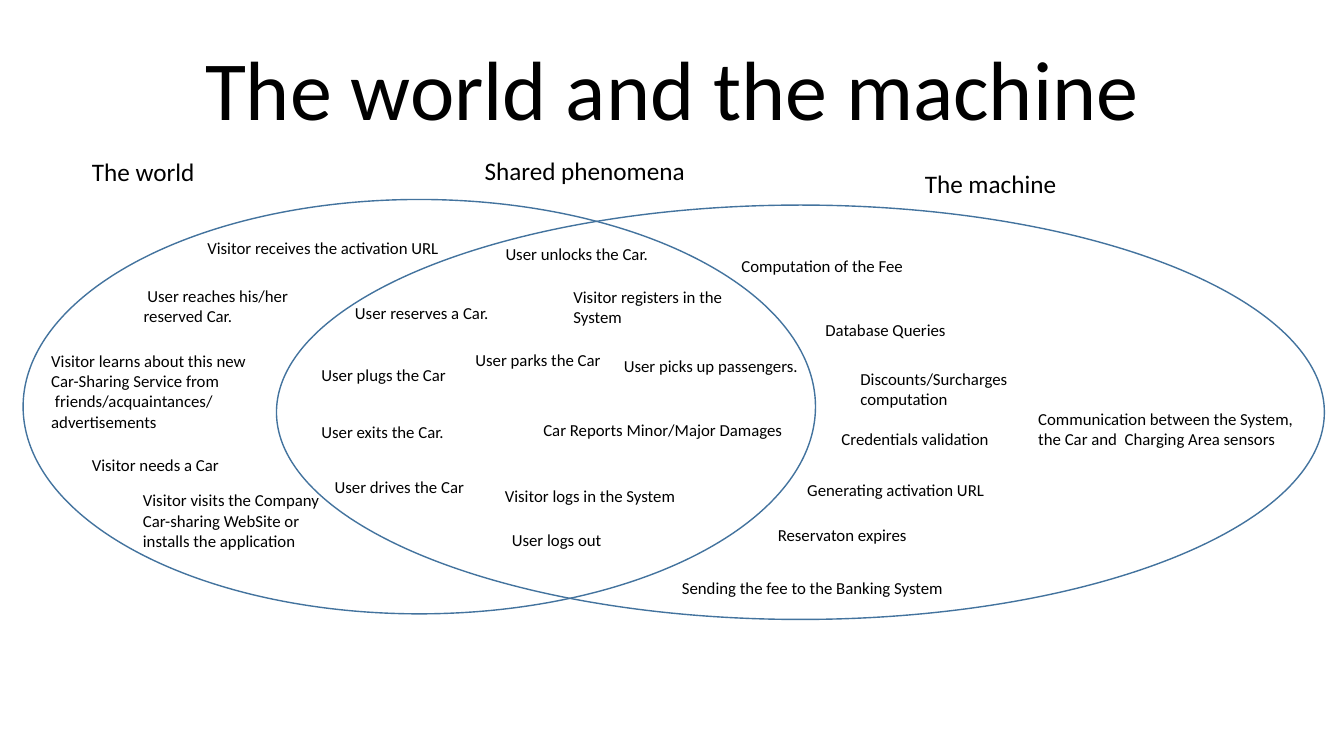
from pptx import Presentation
from pptx.dml.color import RGBColor
from pptx.enum.shapes import MSO_SHAPE as SHAPE
from pptx.enum.text import MSO_ANCHOR as ANCHOR, MSO_AUTO_SIZE as AUTO, PP_ALIGN as ALIGN
from pptx.util import Pt


def rgb(value):
    return RGBColor.from_string(value)


class Deck:
    font = "Calibri"
    ink = "000000"
    outline = "43739E"

    def __init__(self, width, height):
        self.prs = Presentation()
        self.prs.slide_width, self.prs.slide_height = Pt(width), Pt(height)

    def add_slide(self):
        self.s = self.prs.slides.add_slide(self.prs.slide_layouts[0])
        subtitle = self.s.placeholders[1].element
        subtitle.getparent().remove(subtitle)

    def run(self, p, text, size):
        r = p.add_run()
        r.text = text
        r.font.name, r.font.size = self.font, Pt(size)
        r.font.color.rgb = rgb(self.ink)

    def title(self, text, x, y, w, h):
        sp = self.s.shapes.title
        sp.left, sp.top, sp.width, sp.height = Pt(x), Pt(y), Pt(w), Pt(h)
        tf = sp.text_frame
        tf.vertical_anchor = ANCHOR.BOTTOM
        p = tf.paragraphs[0]
        p.alignment, p.line_spacing = ALIGN.CENTER, 0.9
        self.run(p, text, 60)

    def ellipse(self, x, y, w, h):
        sp = self.s.shapes.add_shape(SHAPE.OVAL, Pt(x), Pt(y), Pt(w), Pt(h))
        sp.shadow.inherit = False
        sp.fill.background()
        sp.line.color.rgb, sp.line.width = rgb(self.outline), Pt(1)

    def text(self, x, y, w, h, lines, size=12, wrap=True):
        sp = self.s.shapes.add_textbox(Pt(x), Pt(y), Pt(w), Pt(h))
        tf = sp.text_frame
        tf.word_wrap, tf.auto_size = wrap, AUTO.SHAPE_TO_FIT_TEXT
        for i, line in enumerate(lines):
            p = tf.add_paragraph() if i else tf.paragraphs[0]
            self.run(p, line, size)


HEADINGS = [
    (58.5, 108, 156, 29, ["The world"]),
    (653.5, 116.5, 180, 51, ["The machine"]),
    (339, 107.5, 165, 29, ["Shared phenomena"]),
]
WRAPPED = [
    (582.5, 224.5, 136, 22, ["Database Queries"]),
    (522.5, 179, 136, 22, ["Computation of the Fee"]),
    (95.5, 200.5, 136, 36, [" User reaches his/her reserved Car."]),
    (246.5, 212.5, 136, 22, ["User reserves a Car."]),
    (607.5, 259.5, 136, 36, ["Discounts/Surcharges computation"]),
    (222.5, 257, 136, 22, ["User plugs the Car"]),
    (58.5, 321, 136, 22, ["Visitor needs a Car"]),
    (222.5, 297.5, 136, 22, ["User exits the Car."]),
    (594, 303, 136, 36, ["Credentials validation"]),
    (402.5, 201, 136, 36, ["Visitor registers in the System"]),
    (353.5, 343.5, 150.5, 51, ["Visitor logs in the System"]),
    (438.5, 250.5, 157, 22, ["User picks up passengers."]),
    (29.5, 247, 229.5, 65.5, ["Visitor learns about this new", "Car-Sharing Service from",
                              " friends/acquaintances/", "advertisements"]),
    (95, 346.5, 199.5, 51, ["Visitor visits the Company", "Car-sharing WebSite or",
                            "installs the application"]),
]
UNWRAPPED = [
    (358.5, 374.5, 79, 22, ["User logs out"]),
    (381, 296.5, 187, 22, ["Car Reports Minor/Major Damages"]),
    (569.5, 339, 142.5, 22, ["Generating activation URL"]),
    (548.5, 371, 107.5, 22, ["Reservaton expires"]),
    (354, 170.5, 117.5, 22, ["User unlocks the Car."]),
    (480, 409.5, 203, 22, ["Sending the fee to the Banking System"]),
    (232, 337, 108, 22, ["User drives the Car"]),
    (332.5, 246, 105, 22, ["User parks the Car"]),
    (734.5, 288.5, 198.5, 36, ["Communication between the System,",
                               "the Car and  Charging Area sensors"]),
    (141, 166.5, 181.5, 22, ["Visitor receives the activation URL"]),
]


def main():
    deck = Deck(960, 540)
    deck.add_slide()
    deck.title("The world and the machine", 120, 21, 720, 82)
    deck.ellipse(16.5, 142.5, 566, 296)
    deck.ellipse(197.5, 146.5, 748.5, 296)
    for heading in HEADINGS:
        deck.text(*heading, size=18)
    for note in WRAPPED:
        deck.text(*note)
    for note in UNWRAPPED:
        deck.text(*note, wrap=False)
    deck.prs.save("out.pptx")


if __name__ == "__main__":
    main()
